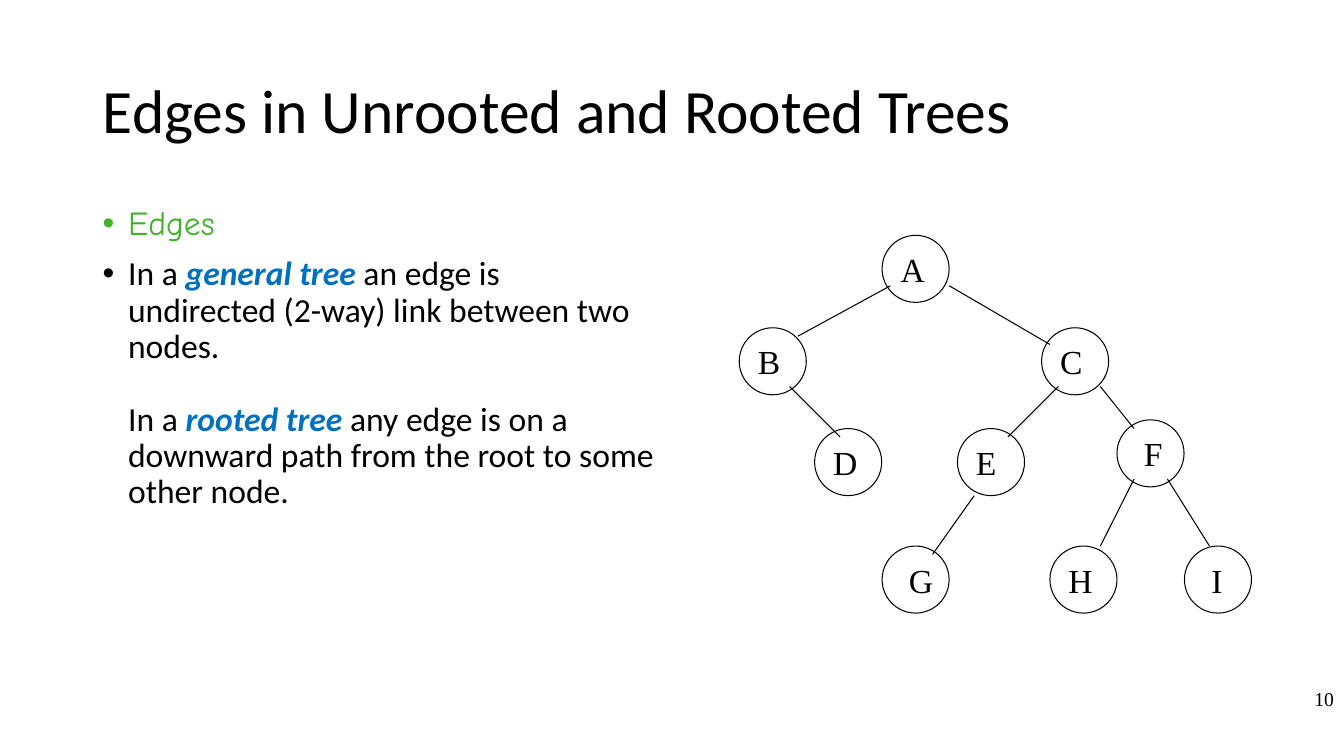
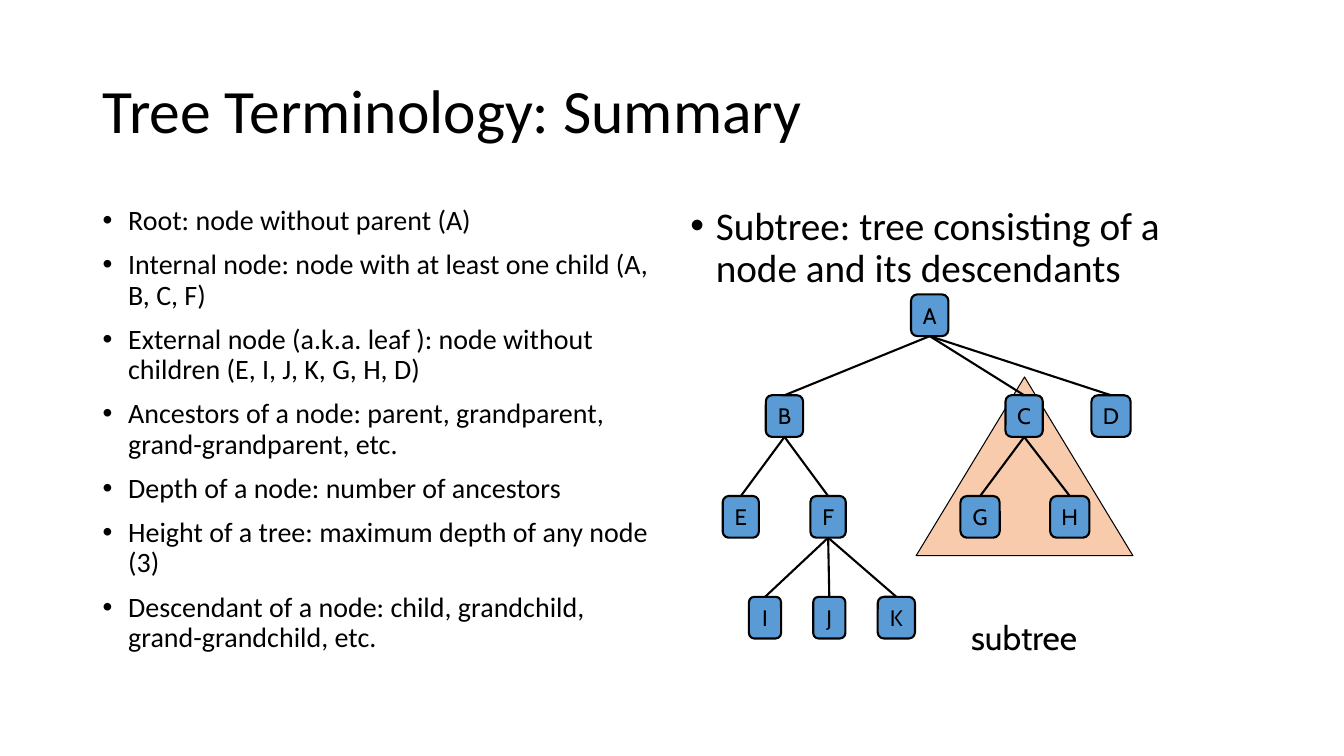
"""Build two slides about tree edges and tree terminology."""
from lxml import etree
from pptx import Presentation
from pptx.dml.color import RGBColor
from pptx.enum.shapes import MSO_CONNECTOR, MSO_SHAPE
from pptx.enum.text import MSO_ANCHOR, MSO_AUTO_SIZE, PP_ALIGN
from pptx.oxml.ns import qn
from pptx.util import Cm, Pt

STRAIGHT = MSO_CONNECTOR.STRAIGHT
ELLIPSE, ROUNDED, TRIANGLE = MSO_SHAPE.OVAL, MSO_SHAPE.ROUNDED_RECTANGLE, MSO_SHAPE.ISOSCELES_TRIANGLE
TOP, MIDDLE = MSO_ANCHOR.TOP, MSO_ANCHOR.MIDDLE
LEFT, CENTER, RIGHT = PP_ALIGN.LEFT, PP_ALIGN.CENTER, PP_ALIGN.RIGHT
NO_FIT = MSO_AUTO_SIZE.NONE

BLACK = RGBColor(0x00, 0x00, 0x00)
GREEN = RGBColor(0x43, 0xB0, 0x2A)
BLUE = RGBColor(0x00, 0x70, 0xC0)
NODE_BLUE = RGBColor(0x5B, 0x9B, 0xD5)
PEACH = RGBColor(0xF8, 0xCB, 0xAD)

TITLE_ONLY = 5
TITLE_AREA = (2.34, 1.02, 29.21, 3.68)
LEFT_COLUMN = (2.34, 5.08, 14.4, 12.09)
RIGHT_COLUMN = (17.15, 5.08, 14.4, 2.9)
BULLET_INDENT = Cm(0.64)
SITE_TOP, SITE_BOTTOM = 0, 2

TITLE = {"name": "Calibri", "size": Pt(44)}
BODY = {"name": "Calibri", "size": Pt(24)}
HEADING = {"name": "Comic Neue", "size": Pt(24), "color": GREEN}
TERM = BODY | {"color": BLUE, "bold": True, "italic": True}
SUMMARY = BODY | {"size": Pt(20)}
SUBTREE = BODY | {"size": Pt(28)}
SERIF = {"name": "Times New Roman", "size": Pt(24)}
PAGE_NUMBER = SERIF | {"size": Pt(14)}
NODE_LABEL = {"name": "Cabin", "size": Pt(16)}
CAPTION = NODE_LABEL | {"size": Pt(24)}

CIRCLE_SIZE = 1.69
CIRCLES = {
    "A": (22.23, 5.93, 0.22), "B": (18.63, 8.26, 0.22), "C": (26.25, 8.26, 0.22),
    "D": (20.53, 10.8, 0.22), "E": (24.13, 10.8, 0.22), "F": (28.15, 10.58, 0.43),
    "G": (22.23, 13.76, 0.43), "H": (26.46, 13.76, 0.22), "I": (29.85, 13.76, 0.43),
}
CIRCLE_EDGES = [
    (22.44, 7.2, 20.11, 8.47), (23.92, 7.2, 26.46, 8.68),
    (19.9, 9.74, 21.17, 11.01), (26.67, 9.74, 25.4, 11.01),
    (27.73, 9.74, 28.58, 10.8), (24.55, 12.49, 23.5, 13.97),
    (28.58, 12.07, 27.73, 13.76), (29.42, 12.07, 30.48, 13.76),
]

ROW_TOP, ROW_STEP, NODE_HEIGHT = 7.42, 2.54, 1.05
NODE_ROWS = [
    {"A": (23.43, 0.94)},
    {"B": (19.77, 0.94), "C": (25.81, 0.94), "D": (28, 0.99)},
    {"E": (18.67, 0.91), "F": (20.87, 0.89), "G": (24.7, 0.99), "H": (26.96, 0.99)},
    {"I": (19.28, 0.81), "J": (20.9, 0.81), "K": (22.59, 0.94)},
]
CHILDREN = {"A": "BCD", "B": "EF", "C": "GH", "F": "IJK"}

DEFINITIONS = [
    "Root: node without parent (A)",
    "Internal node: node with at least one child (A, B, C, F)",
    "External node (a.k.a. leaf ): node without children (E, I, J, K, G, H, D)",
    "Ancestors of a node: parent, grandparent, grand-grandparent, etc.",
    "Depth of a node: number of ancestors",
    "Height of a tree: maximum depth of any node (3)",
    "Descendant of a node: child, grandchild, grand-grandchild, etc.",
]


def assign(target, values):
    """Set each named attribute of the target."""
    for name, value in values.items():
        setattr(target, name, value)


class TreeDeck:
    """A deck with its style and the page being filled."""

    def __init__(self):
        """Start an empty widescreen deck."""
        self.deck = Presentation()
        assign(self.deck, {"slide_width": Cm(33.87), "slide_height": Cm(19.05)})
        self.page = None

    def add_span(self, para, text, style):
        """Add a formatted span to a paragraph."""
        span = para.add_run()
        span.text = text
        values = {"color": BLACK} | style
        span.font.color.rgb = values.pop("color")
        assign(span.font, values)

    def fill_frame(self, frame, text, style, align, **layout):
        """Put one line of text in a frame."""
        assign(frame, {"word_wrap": True, "auto_size": NO_FIT} | layout)
        para = frame.paragraphs[0]
        para.alignment = align
        self.add_span(para, text, style)

    def add_page(self, title):
        """Add a page with its title."""
        self.page = self.deck.slides.add_slide(self.deck.slide_layouts[TITLE_ONLY])
        box = self.page.shapes.title
        assign(box, dict(zip(("left", "top", "width", "height"), map(Cm, TITLE_AREA))))
        self.fill_frame(box.text_frame, title, TITLE, LEFT, vertical_anchor=MIDDLE)
        box.text_frame.paragraphs[0].line_spacing = 0.9

    def add_label(self, area, text, style, align):
        """Add a single line text box."""
        box = self.page.shapes.add_textbox(*map(Cm, area))
        self.fill_frame(box.text_frame, text, style, align, vertical_anchor=MIDDLE)

    def add_body(self, area, items):
        """Add paragraphs given as bullet, space before and spans."""
        frame = self.page.shapes.add_textbox(*map(Cm, area)).text_frame
        frame.word_wrap = True
        for index, (bullet, space, spans) in enumerate(items):
            para = frame.add_paragraph() if index else frame.paragraphs[0]
            properties = para._p.get_or_add_pPr()
            properties.set("marL", str(BULLET_INDENT))
            if bullet:
                properties.set("indent", str(-BULLET_INDENT))
                etree.SubElement(properties, qn("a:buFont"), typeface="Arial")
                etree.SubElement(properties, qn("a:buChar"), char="•")
            assign(para, {"line_spacing": 0.9, "space_before": Pt(space if index else 0)})
            for text, style in spans:
                self.add_span(para, text, style)

    def add_shape(self, kind, area, fill=None, weight=0.75):
        """Add an outlined shape, filled if a colour is given."""
        shape = self.page.shapes.add_shape(kind, *map(Cm, area))
        shape.shadow.inherit = False
        if fill is None:
            shape.fill.background()
        else:
            shape.fill.solid()
            shape.fill.fore_color.rgb = fill
        shape.line.color.rgb = BLACK
        shape.line.width = Pt(weight)
        return shape

    def add_circle(self, name, left, top, inset):
        """Add a round node with its letter."""
        circle = self.add_shape(ELLIPSE, (left, top, CIRCLE_SIZE, CIRCLE_SIZE))
        self.fill_frame(circle.text_frame, name, SERIF, LEFT, vertical_anchor=TOP,
                        margin_left=Cm(inset), margin_top=Cm(0.09),
                        margin_right=0, margin_bottom=0)

    def add_node(self, name, center, top, width):
        """Add a rounded node with its letter."""
        area = (center - width / 2, top, width, NODE_HEIGHT)
        node = self.add_shape(ROUNDED, area, NODE_BLUE, 1.5)
        self.fill_frame(node.text_frame, name, NODE_LABEL, CENTER, vertical_anchor=MIDDLE,
                        margin_left=0, margin_top=0, margin_right=0, margin_bottom=0)
        return node

    def add_edge(self, ends=(0, 0, 0, 0), weight=0.75):
        """Add a plain line between two points."""
        edge = self.page.shapes.add_connector(STRAIGHT, *map(Cm, ends))
        edge.line.color.rgb = BLACK
        edge.line.width = Pt(weight)
        etree.SubElement(edge._element.spPr, qn("a:effectLst"))
        return edge

    def join(self, parent, child):
        """Connect a parent node to its child."""
        edge = self.add_edge(weight=1.5)
        edge.begin_connect(parent, SITE_BOTTOM)
        edge.end_connect(child, SITE_TOP)


def build_edges_page(tree):
    """Build the page on edges."""
    tree.add_page("Edges in Unrooted and Rooted Trees")
    tree.add_body(LEFT_COLUMN, [
        (True, 0, [("Edges", HEADING)]),
        (True, 10, [("In a ", BODY), ("general tree", TERM),
                    (" an edge is undirected (2-way) link between two nodes.", BODY)]),
        (False, 26, [("In a ", BODY), ("rooted tree", TERM),
                     (" any edge is on a downward path from the root to some other node.", BODY)]),
    ])
    tree.add_label((26.82, 16.97, 7.05, 1.27), "10", PAGE_NUMBER, RIGHT)
    for name, place in CIRCLES.items():
        tree.add_circle(name, *place)
    for ends in CIRCLE_EDGES:
        tree.add_edge(ends)


def build_summary_page(tree):
    """Build the page on terminology."""
    tree.add_page("Tree Terminology: Summary")
    tree.add_body(LEFT_COLUMN, [(True, 10, [(text, SUMMARY)]) for text in DEFINITIONS])
    tree.add_body(RIGHT_COLUMN, [
        (True, 0, [("Subtree: tree consisting of a node and its descendants", SUBTREE)]),
    ])
    tree.add_shape(TRIANGLE, (23.09, 9.5, 5.46, 4.5), PEACH)
    tree.add_label((23.81, 15.45, 4, 1.2), "subtree", CAPTION, CENTER)
    nodes = {}
    for row, members in enumerate(NODE_ROWS):
        for name, (center, width) in members.items():
            nodes[name] = tree.add_node(name, center, ROW_TOP + row * ROW_STEP, width)
    for parent, children in CHILDREN.items():
        for child in children:
            tree.join(nodes[parent], nodes[child])


def main():
    """Build and save the deck."""
    tree = TreeDeck()
    build_edges_page(tree)
    build_summary_page(tree)
    tree.deck.save("out.pptx")


if __name__ == "__main__":
    main()
